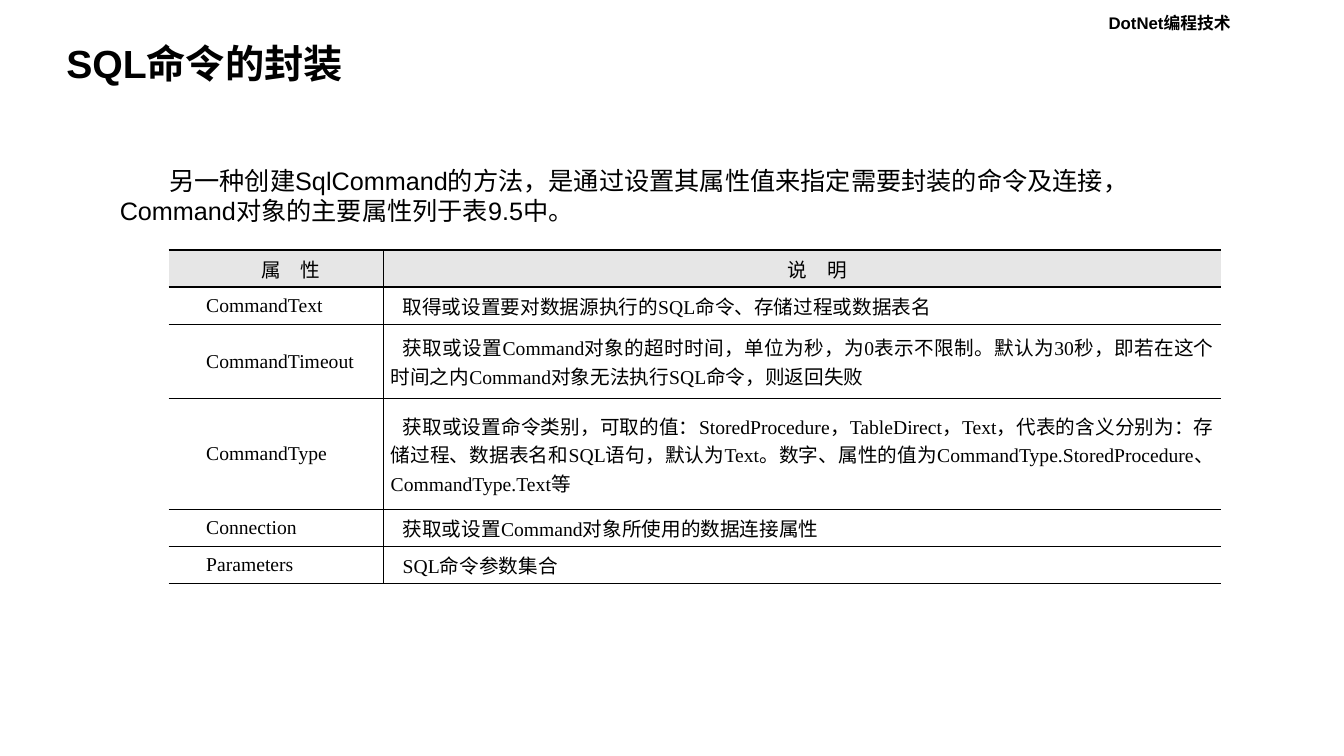
"""Build the slide on wrapping SQL commands, with its table of properties."""
import lxml.etree
import pptx
import pptx.dml.color
import pptx.enum.text
import pptx.oxml.ns
import pptx.util

Pt = pptx.util.Pt
Align = pptx.enum.text.PP_ALIGN
Anchor = pptx.enum.text.MSO_ANCHOR
theme = {
    "ink": "000000", "head": "E6E6E6",
    "sans": "Arial", "serif": "Times New Roman",
    "tag": 12, "title": 28, "body": 18, "cell": 14,
    "thick": 1.25, "thin": 0.75,
}


def style(para, size, font, bold=False, indent=0):
    if indent:
        props = para._p.get_or_add_pPr()
        props.set("marL", "0")
        props.set("indent", str(Pt(indent)))
    para.font.size = Pt(theme[size])
    para.font.name = theme[font]
    para.font.bold = bold
    para.font.color.rgb = pptx.dml.color.RGBColor.from_string(theme["ink"])


def edge(cell, spot, side, width):
    qn = pptx.oxml.ns.qn
    line = lxml.etree.Element(qn("a:ln" + side), w=str(Pt(width)))
    if width:
        fill = lxml.etree.SubElement(line, qn("a:solidFill"))
        lxml.etree.SubElement(fill, qn("a:srgbClr"), val=theme["ink"])
    else:
        lxml.etree.SubElement(line, qn("a:noFill"))
    cell._tc.get_or_add_tcPr().insert(spot, line)


deck = pptx.Presentation()
deck.slide_width, deck.slide_height = Pt(960), Pt(540)
slide = deck.slides.add_slide(deck.slide_layouts[6])

labels = [
    ("DotNet编程技术", (784.8, 5.8, 175.7, 21.6), "tag", True, 0, 1, Anchor.TOP),
    ("SQL命令的封装", (40.3, 28.1, 503.3, 37.4), "title", True, 0, 0.9, Anchor.MIDDLE),
    ("另一种创建SqlCommand的方法，是通过设置其属性值来指定需要封装的命令及连接，"
     "Command对象的主要属性列于表9.5中。",
     (78.5, 114.5, 793.4, 51.1), "body", False, 35.3, 1, Anchor.TOP),
]
for text, place, size, bold, indent, space, anchor in labels:
    frame = slide.shapes.add_textbox(*map(Pt, place)).text_frame
    frame.word_wrap = True
    frame.vertical_anchor = anchor
    para = frame.paragraphs[0]
    para.text = text
    para.line_spacing = space
    style(para, size, "sans", bold, indent)

rows = [
    ("属　性", "说　明", 26.5),
    ("CommandText", "取得或设置要对数据源执行的SQL命令、存储过程或数据表名", 26.5),
    ("CommandTimeout",
     "获取或设置Command对象的超时时间，单位为秒，为0表示不限制。默认为30秒，"
     "即若在这个时间之内Command对象无法执行SQL命令，则返回失败", 53.2),
    ("CommandType",
     "获取或设置命令类别，可取的值：StoredProcedure，TableDirect，Text，"
     "代表的含义分别为：存储过程、数据表名和SQL语句，默认为Text。数字、属性的值为"
     "CommandType.StoredProcedure、CommandType.Text等", 79.2),
    ("Connection", "获取或设置Command对象所使用的数据连接属性", 26.5),
    ("Parameters", "SQL命令参数集合", 26.5),
]
wide = (153.4, 598.3)
high = [row[2] for row in rows]
table = slide.shapes.add_table(
    len(rows), 2, Pt(120.5), Pt(178.6), Pt(sum(wide)), Pt(sum(high))).table
table.first_row = table.horz_banding = False
for col, width in zip(table.columns, wide):
    col.width = Pt(width)

for r, row in enumerate(rows):
    table.rows[r].height = Pt(row[2])
    for c in range(2):
        cell = table.cell(r, c)
        cell.vertical_anchor = Anchor.MIDDLE
        cell.margin_left = cell.margin_right = Pt(5.2)
        cell.margin_top = cell.margin_bottom = 0
        if r == 0:
            cell.fill.solid()
            cell.fill.fore_color.rgb = pptx.dml.color.RGBColor.from_string(theme["head"])
        else:
            cell.fill.background()
        sides = {
            "L": theme["thin"] if c == 1 else 0,
            "R": theme["thin"] if c == 0 else 0,
            "T": theme["thick"] if r < 2 else theme["thin"],
            "B": theme["thick"] if r == 0 else theme["thin"],
        }
        for spot, (side, width) in enumerate(sides.items()):
            edge(cell, spot, side, width)
        para = cell.text_frame.paragraphs[0]
        para.text = row[c]
        para.alignment = Align.CENTER if r == 0 else Align.JUSTIFY
        if c == 1 and row[2] > 30:
            para.space_before = para.space_after = Pt(3)
        style(para, "cell", "serif", indent=8.6 if r and c else 21.6)

deck.save("out.pptx")
